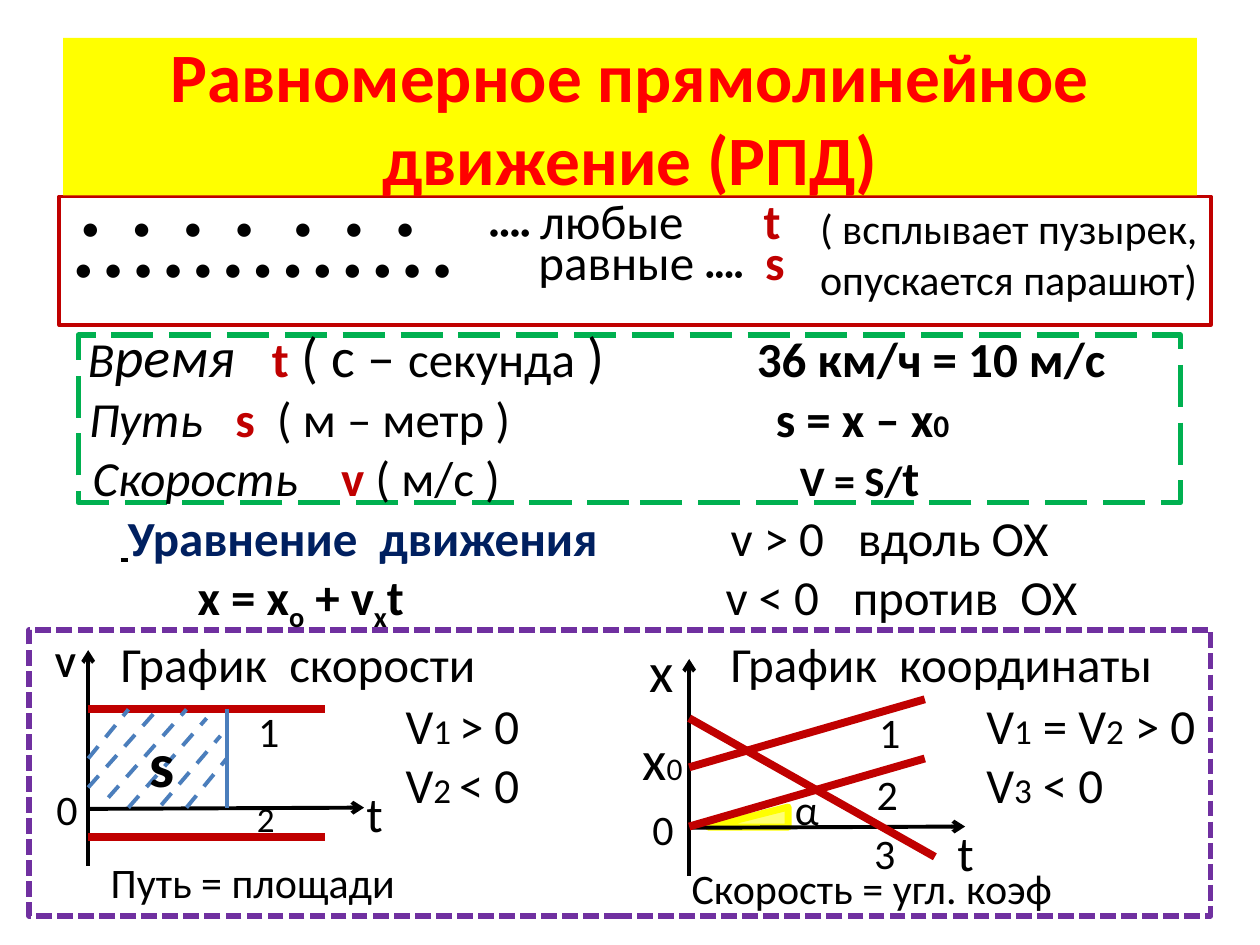
import dataclasses

import lxml.etree
import pptx
import pptx.dml.color
import pptx.enum.dml
import pptx.enum.shapes
import pptx.enum.text
import pptx.oxml.ns
import pptx.util

Inches = pptx.util.Inches
qn = pptx.oxml.ns.qn
Dash = pptx.enum.dml.MSO_LINE
Preset = pptx.enum.shapes.MSO_SHAPE


@dataclasses.dataclass(frozen=True)
class Theme:
    font: str = "Calibri"
    black: str = "000000"
    white: str = "FFFFFF"
    red: str = "FF0000"
    crimson: str = "C00000"
    yellow: str = "FFFF00"
    green: str = "00B050"
    purple: str = "7030A0"
    navy: str = "002060"
    blue: str = "4B7EBC"
    title: float = 39.6
    symbol: int = 36
    large: int = 32
    body: int = 28
    label: int = 24
    small: int = 20
    index: int = 18
    dots: int = 12


THEME = Theme()


@dataclasses.dataclass(frozen=True)
class Run:
    text: str
    size: float = THEME.body
    color: str = THEME.black
    bold: bool = False
    italic: bool = False
    underline: bool = False
    baseline: int = 0
    spacing: float = 0


def rgb(color):
    return pptx.dml.color.RGBColor.from_string(color)


class SlideBuilder:
    def __init__(self, slide, theme):
        self.slide = slide
        self.theme = theme

    def style_line(self, line, color, width, dash=None):
        line.color.rgb = rgb(color)
        line.width = pptx.util.Pt(width)
        if dash is not None:
            line.dash_style = dash

    def shape(self, preset, box, fill, color, width, dash=None):
        shape = self.slide.shapes.add_shape(preset, *map(Inches, box))
        shape.shadow.inherit = False
        shape.fill.solid()
        shape.fill.fore_color.rgb = rgb(fill)
        self.style_line(shape.line, color, width, dash)
        return shape

    def angle(self, box, opacity):
        shape = self.shape(Preset.RIGHT_TRIANGLE, box, self.theme.yellow, self.theme.yellow, 4)
        shape.rotation = 270
        color = shape.element.spPr.find(qn("a:solidFill"))[0]
        lxml.etree.SubElement(color, qn("a:alpha")).set("val", str(opacity * 1000))

    def line(self, start, end, color, width, dash=None, arrow=False):
        connector = self.slide.shapes.add_connector(
            pptx.enum.shapes.MSO_CONNECTOR.STRAIGHT, *map(Inches, start + end))
        self.style_line(connector.line, color, width, dash)
        properties = connector.element.spPr
        if arrow:
            outline = properties.find(qn("a:ln"))
            lxml.etree.SubElement(outline, qn("a:tailEnd")).set("type", "arrow")
        lxml.etree.SubElement(properties, qn("a:effectLst"))

    def axis(self, start, end):
        self.line(start, end, self.theme.black, 2.25, arrow=True)

    def graph(self, start, end):
        self.line(start, end, self.theme.crimson, 4.5)

    def fill_paragraph(self, paragraph, runs, tabs=()):
        for item in runs:
            run = paragraph.add_run()
            run.text = item.text
            run.font.name = self.theme.font
            run.font.size = pptx.util.Pt(item.size)
            run.font.color.rgb = rgb(item.color)
            run.font.bold = item.bold
            run.font.italic = item.italic
            run.font.underline = item.underline
            if item.baseline:
                run.font._element.set("baseline", str(item.baseline * 1000))
            if item.spacing:
                run.font._element.set("spc", str(round(item.spacing * 100)))
        if tabs:
            properties = paragraph._p.get_or_add_pPr()
            tab_list = lxml.etree.SubElement(properties, qn("a:tabLst"))
            for position in tabs:
                tab = lxml.etree.SubElement(tab_list, qn("a:tab"))
                tab.set("pos", str(Inches(position)))
                tab.set("algn", "l")

    def text(self, box, rows, wrap=False):
        frame = self.slide.shapes.add_textbox(*map(Inches, box)).text_frame
        frame.word_wrap = wrap
        for number, (runs, tabs) in enumerate(rows):
            paragraph = frame.add_paragraph() if number else frame.paragraphs[0]
            self.fill_paragraph(paragraph, runs, tabs)

    def label(self, box, *runs):
        self.text(box, [(runs, ())])

    def place(self, placeholder, box):
        placeholder.left, placeholder.top, placeholder.width, placeholder.height = map(Inches, box)
        placeholder.element.getparent().append(placeholder.element)
        placeholder.text_frame.auto_size = pptx.enum.text.MSO_AUTO_SIZE.NONE
        return placeholder.text_frame

    def title(self, box, text):
        placeholder = self.slide.shapes.title
        frame = self.place(placeholder, box)
        placeholder.fill.solid()
        placeholder.fill.fore_color.rgb = rgb(self.theme.yellow)
        frame.vertical_anchor = pptx.enum.text.MSO_ANCHOR.MIDDLE
        paragraph = frame.paragraphs[0]
        paragraph.alignment = pptx.enum.text.PP_ALIGN.CENTER
        self.fill_paragraph(paragraph, [Run(text, self.theme.title, self.theme.red, True)])

    def body(self, box, rows):
        frame = self.place(self.slide.placeholders[1], box)
        for number, runs in enumerate(rows):
            paragraph = frame.add_paragraph() if number else frame.paragraphs[0]
            paragraph.line_spacing = 0.5
            paragraph.space_before = pptx.util.Pt(6)
            properties = paragraph._p.get_or_add_pPr()
            properties.set("marL", "0")
            properties.set("indent", "0")
            lxml.etree.SubElement(properties, qn("a:buNone"))
            self.fill_paragraph(paragraph, runs)


def dot_row(count, spacing):
    return Run(" ".join("•" * count), THEME.index, bold=True, spacing=spacing)


def gap(spacing, size=THEME.index, bold=True):
    return Run(" ", size, bold=bold, spacing=spacing)


def main():
    theme = THEME
    presentation = pptx.Presentation()
    presentation.slide_width, presentation.slide_height = Inches(10), Inches(7.5)
    builder = SlideBuilder(presentation.slides.add_slide(presentation.slide_layouts[1]), theme)

    builder.shape(Preset.RECTANGLE, (0.23, 5, 9.38, 2.27), theme.white, theme.purple, 3, Dash.SQUARE_DOT)
    builder.angle((5.86, 6.17, 0.16, 0.63), 54)
    builder.shape(Preset.RECTANGLE, (0.62, 2.66, 8.75, 1.33), theme.white, theme.green, 3, Dash.LONG_DASH)
    builder.shape(Preset.RECTANGLE, (0.47, 1.56, 9.14, 1.02), theme.white, theme.crimson, 2)

    builder.title((0.5, 0.3, 9, 1.25), "Равномерное прямолинейное движение (РПД)")
    builder.body((0.5, 1.64, 9, 5.31), [
        [gap(0), dot_row(4, 8.14), gap(12.2), dot_row(3, 8.14), gap(31),
         Run("••••", theme.dots), gap(2.7, theme.dots), Run("любые"),
         gap(38.5, theme.large), Run("t", color=theme.crimson, bold=True)],
        [dot_row(13, 2.03), gap(44), Run("равные "), Run("••••", 11),
         gap(6, theme.body), Run("s", color=theme.crimson, bold=True)]])

    builder.text((6.41, 1.56, 3.28, 0.91),
                 [([Run("( всплывает пузырек, опускается парашют)", theme.label)], ())], wrap=True)
    builder.text((0.55, 2.5, 8.67, 1.58), [
        ([Run(" ", 16), Run("В", italic=True), Run("ремя", theme.large, italic=True),
          Run("\tt", color=theme.crimson, bold=True), Run(" ( с – ", theme.large),
          Run("секунда"), Run(" )", theme.large), Run("\t36 км/ч = 10 м/с", bold=True)], [1.51, 5.36]),
        ([Run(" ", theme.index), Run("Путь", italic=True), Run("\ts", color=theme.crimson, bold=True),
          Run("\t( м – метр )"), Run("\ts = х – х", bold=True),
          Run("0", theme.index, bold=True)], [1.22, 1.55, 5.51]),
        ([Run(" "), Run("Скорость", italic=True), Run("\tv ", color=theme.crimson, bold=True),
          Run("( м/с )"), Run("\tV = S/", theme.label, bold=True), Run("t", bold=True)],
         [2.06, 5.7])], wrap=True)
    wide = gap(6.3, theme.body, False)
    builder.text((0.86, 3.98, 8.82, 1.51), [
        ([Run(" ", theme.index, bold=True, underline=True),
          Run("Уравнение", color=theme.navy, bold=True), wide,
          Run("движения", color=theme.navy, bold=True),
          Run("\tv > 0\tвдоль ОХ")], [4.84, 5.85]),
        ([Run("\tх = х", bold=True), Run("о", bold=True, baseline=-25), Run(" + v", bold=True),
          Run("х", bold=True, baseline=-25), Run("t", bold=True),
          Run("\tv < 0\tпротив"), wide, Run("ОХ")], [0.61, 4.8, 5.81]),
        ([Run("График"), wide, Run("скорости\tГрафик"), wide, Run("координаты")], [4.84])], wrap=True)

    for start, end in (((0.7, 6.87), (0.7, 5.16)), ((5.47, 6.95), (5.47, 5.23)),
                       ((0.7, 6.42), (2.89, 6.41)), ((5.47, 6.57), (7.66, 6.56))):
        builder.axis(start, end)
    for start, end in (((0.7, 5.63), (2.58, 5.63)), ((0.7, 6.64), (2.58, 6.64)),
                       ((5.47, 6.09), (7.34, 5.55)), ((5.47, 6.56), (7.34, 6.02)),
                       ((5.47, 5.7), (7.42, 6.8))):
        builder.graph(start, end)
    builder.line((1.8, 5.63), (1.8, 6.41), theme.blue, 2.25)
    for start, end in (((0.7, 6.02), (1.02, 5.63)), ((0.7, 6.25), (1.25, 5.63)),
                       ((0.86, 6.33), (1.48, 5.63)), ((1.02, 6.41), (1.64, 5.7)),
                       ((1.28, 6.39), (1.75, 5.84)), ((1.48, 6.41), (1.8, 6.02))):
        builder.line(start, end, theme.blue, 2.25, Dash.DASH)

    for left, top, text in ((0.35, 6.17, "0"), (5.08, 6.33, "0"), (1.95, 5.55, "1"), (6.88, 5.56, "1"),
                            (6.86, 6.05, "2"), (6.84, 6.52, "3"), (6.21, 6.17, "α")):
        builder.label((left, top, 0.37, 0.5), Run(text, theme.label))
    for left, top in ((2.81, 6.17), (7.5, 6.48)):
        builder.label((left, top, 0.33, 0.57), Run("t"))
    builder.label((0.34, 5.05, 0.37, 0.44), Run("V", theme.small, bold=True))
    builder.label((1.94, 6.28, 0.34, 0.44), Run("2", theme.small))
    builder.label((5.06, 5, 0.4, 0.64), Run("x", theme.large))
    builder.label((5, 5.7, 0.52, 0.64), Run("х", theme.large), Run("0", theme.index))
    builder.label((1.09, 5.7, 0.4, 0.71), Run("s", theme.symbol, bold=True))
    builder.label((0.78, 6.75, 2.48, 0.5), Run("Путь = площади", theme.label))
    builder.label((5.39, 6.8, 3.16, 0.5), Run("Скорость = угл. коэф", theme.label))
    builder.text((3.12, 5.47, 1.12, 1.04), [
        ([Run("V"), Run("1 ", theme.small), Run("> 0")], ()),
        ([Run("V"), Run("2 ", theme.small), Run("< 0")], ())])
    builder.text((7.73, 5.47, 2, 1.04), [
        ([Run("V"), Run("1", theme.small), Run(" = V"), Run("2", theme.small), Run(" > 0")], ()),
        ([Run("V"), Run("3", theme.small), Run(" < 0")], ())], wrap=True)

    presentation.save("out.pptx")


if __name__ == "__main__":
    main()
